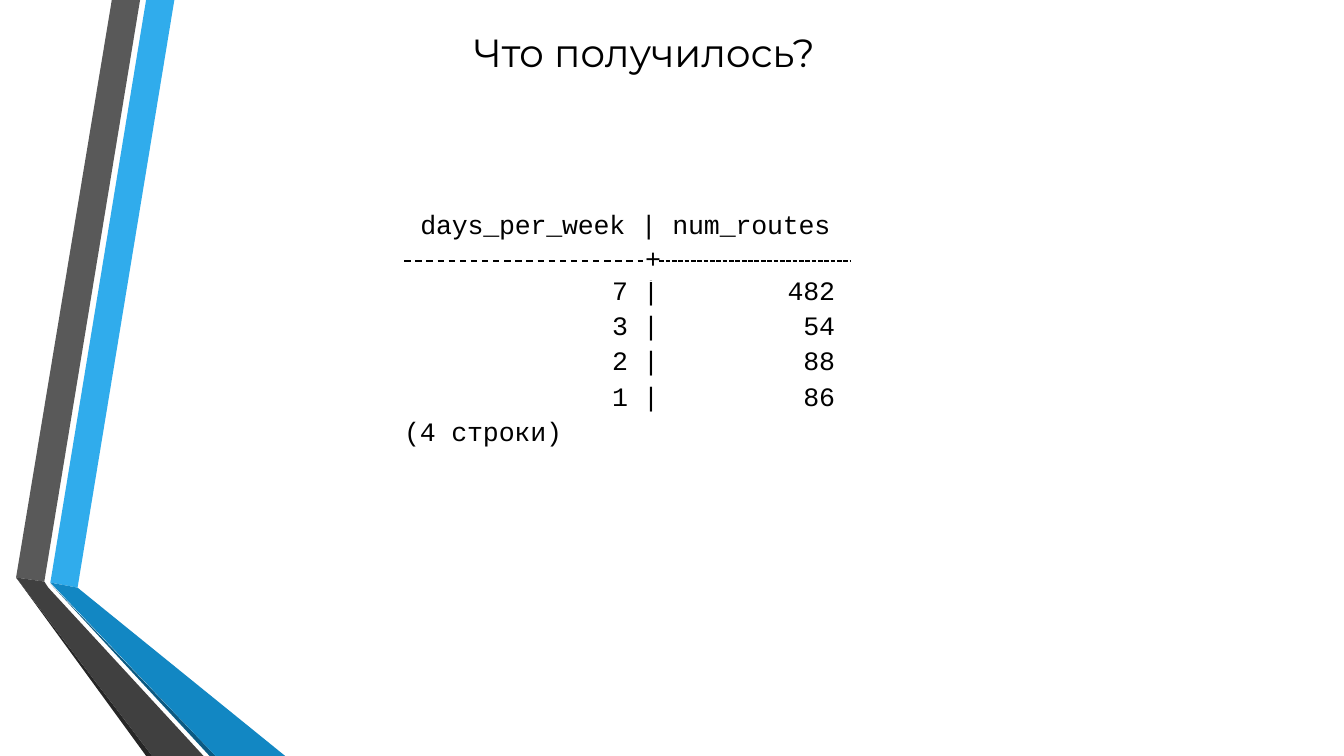
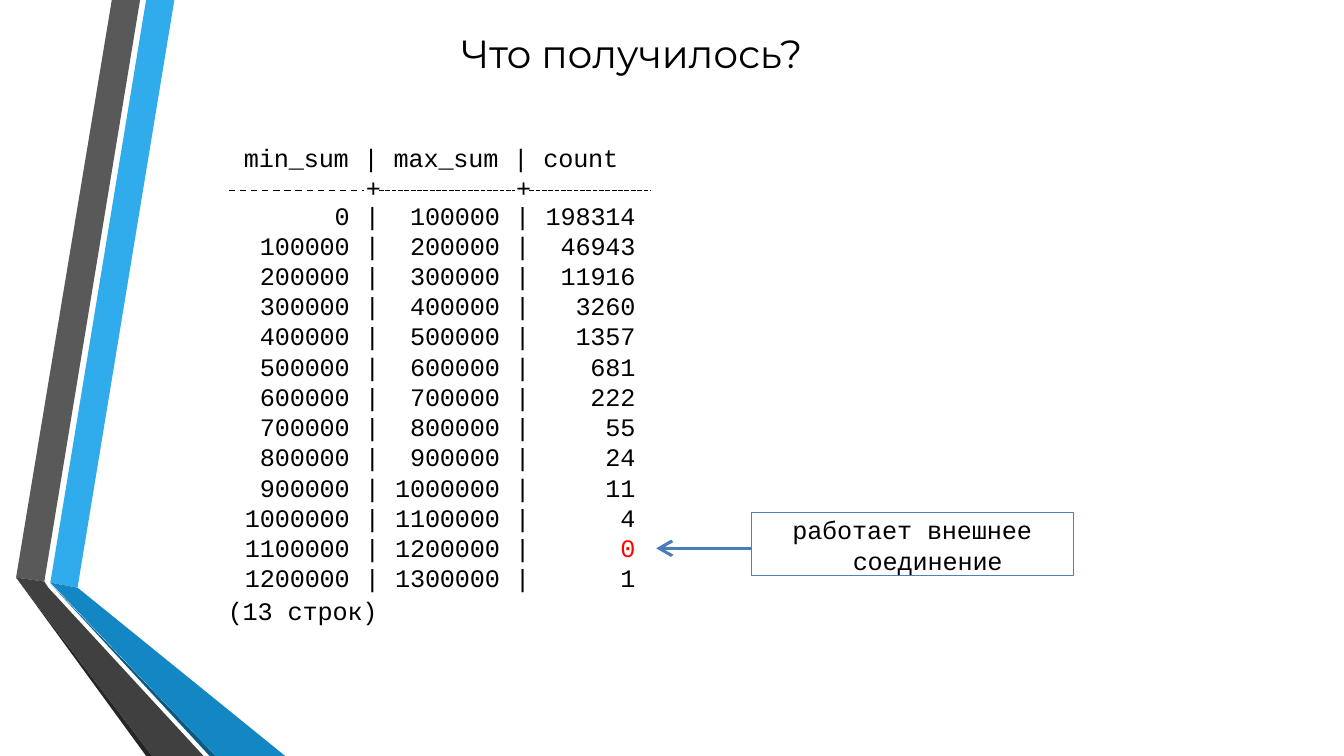
import dataclasses

import lxml.etree
import pptx
import pptx.dml.color
import pptx.enum.dml
import pptx.enum.shapes
import pptx.enum.text
import pptx.oxml.ns
import pptx.util

ALIGN = pptx.enum.text.PP_ALIGN
DASH = pptx.enum.dml.MSO_LINE.DASH
SHORT_DASH = pptx.enum.dml.MSO_LINE.SQUARE_DOT
COLORS = {
    "text": "000000", "highlight": "FF0000", "box": "4F81BC", "arrow": "497DBA",
    "light blue": "30ACEC", "blue": "1287C3", "dark blue": "0C5A82",
    "light gray": "595959", "gray": "404040", "dark gray": "262626",
}
MONOSPACE = "Courier New"
TITLE_FONT = "Montserrat"
TITLE = "Что получилось?"
COLUMNS, ROWS = 133.33, 75  # grid of tenths of an inch
TEXT_INDENT = 0.1
PIPE_INDENT = 0.8
NOTE_INDENT = 0.3
INNER_GAP, OUTER_GAP = 0.7, 0.25  # right of the numbers, before a pipe and at the end
STEP = 100_000
COUNTS = (198314, 46943, 11916, 3260, 1357, 681, 222, 55, 24, 11, 4, 0, 1)


@dataclasses.dataclass(frozen=True)
class Band:
    color: str
    points: tuple[tuple[float, float], ...]


@dataclasses.dataclass(frozen=True)
class Rule:
    start: float
    end: float
    dash: pptx.enum.dml.MSO_LINE = SHORT_DASH


@dataclasses.dataclass(frozen=True)
class Header:
    """Column names above a dashed rule that is broken by plus signs."""
    text: str
    box: tuple[float, float, float, float]
    inset: float
    indent: float
    before: tuple[float, float]
    size: float
    tabs: tuple[float, ...]
    rule_row: float
    rules: tuple[Rule, ...]


@dataclasses.dataclass(frozen=True)
class Grid:
    left: float
    top: float
    widths: tuple[float, ...]
    heights: tuple[float, ...]
    size: float
    first_line: float
    other_line: float


BANDS = (
    Band("light blue", ((5, 57.8), (7.7, 58.3), (17.3, 0), (14.5, 0))),
    Band("light gray", ((13.9, 0), (11.1, 0), (1.6, 57.3), (4.4, 57.7))),
    Band("dark gray", ((1.6, 57.3), (14.5, ROWS), (15.1, ROWS))),
    Band("dark blue", ((5, 57.9), (20.8, ROWS), (21.4, ROWS))),
    Band("blue", ((5, 57.8), (21.4, ROWS), (28.3, ROWS), (7.7, 58.3))),
    Band("gray", ((20.2, ROWS), (4.8, 58.3), (4.4, 57.7), (1.6, 57.3), (15.1, ROWS))),
)
ROUTES_HEADER = Header(
    "days_per_week | num_routes", (40, 20.2, 46, 7.1), inset=0.4, indent=1.7,
    before=(2.6, 1.7), size=19, tabs=(23.9,), rule_row=25.9,
    rules=(Rule(40.1, 63.8, DASH), Rule(65.4, 84.4)))
ROUTES_GRID = Grid(39.8, 27.9, (18.5, 4.7, 8.7, 11.4), (3.2, 3.5, 3.5, 3.5, 3.2),
                   size=19, first_line=19.6, other_line=21.4)
SUMS_HEADER = Header(
    "min_sum | max_sum | count", (22.6, 14, 43.5, 6.3), inset=0.1, indent=1.6,
    before=(1, 0), size=18, tabs=(13.6, 28.5), rule_row=18.9,
    rules=(Rule(22.7, 36.1, DASH), Rule(37.6, 51.1), Rule(52.5, 64.5)))
SUMS_GRID = Grid(23.8, 20.5, (11.6, 3, 11.9, 3, 10), (2.9, *[3] * 11, 2.9),
                 size=18, first_line=18.6, other_line=19.2)


def cells(count: float) -> pptx.util.Emu:
    return pptx.util.Inches(count / 10)


def rgb(name: str) -> pptx.dml.color.RGBColor:
    return pptx.dml.color.RGBColor.from_string(COLORS[name])


def write_text(frame, text: str, *, size: float, font: str = MONOSPACE,
               color: str = "text", align=ALIGN.LEFT, indent: float = TEXT_INDENT,
               right_indent: float = 0, hanging: float = 0, before: float = 0,
               line=None, tracking: float = -0.1, tabs: tuple[float, ...] = (),
               append: bool = False) -> None:
    """Writes one paragraph; indents and tab stops are in grid columns."""
    paragraph = frame.add_paragraph() if append else frame.paragraphs[0]
    paragraph.alignment = align
    paragraph.space_before = pptx.util.Pt(before)
    if line:
        paragraph.line_spacing = line
    properties = paragraph._p.get_or_add_pPr()
    # A written zero would reset the tab stops in LibreOffice.
    for name, length in (("marL", indent), ("marR", right_indent), ("indent", hanging)):
        if length:
            properties.set(name, str(cells(length)))
    if tabs:
        tab_list = lxml.etree.SubElement(properties, pptx.oxml.ns.qn("a:tabLst"))
        for position in tabs:
            lxml.etree.SubElement(tab_list, pptx.oxml.ns.qn("a:tab"),
                                  pos=str(cells(position)), algn="l")
    run = paragraph.add_run()
    run.text = text
    run.font.size = pptx.util.Pt(size)
    run.font.name = font
    run.font.color.rgb = rgb(color)
    run._r.get_or_add_rPr().set("spc", str(round(tracking * 100)))


def prepare_frame(frame, inset: float, anchor=pptx.enum.text.MSO_ANCHOR.TOP) -> None:
    frame.word_wrap = True
    frame.margin_left = frame.margin_right = frame.margin_bottom = 0
    frame.margin_top = cells(inset)
    frame.vertical_anchor = anchor


def add_text_box(slide, box: tuple[float, ...], inset: float = 0.1, **options):
    frame = slide.shapes.add_textbox(*map(cells, box)).text_frame
    prepare_frame(frame, inset, **options)
    return frame


def add_line(slide, start: float, end: float, row: float, color: str, width: float):
    connector = slide.shapes.add_connector(
        pptx.enum.shapes.MSO_CONNECTOR.STRAIGHT,
        cells(start), cells(row), cells(end), cells(row))
    connector.line.color.rgb = rgb(color)
    connector.line.width = pptx.util.Pt(width)
    lxml.etree.SubElement(connector._element.spPr, pptx.oxml.ns.qn("a:effectLst"))
    return connector


def add_base_slide(presentation, title_box: tuple[float, ...]):
    """Adds a slide with the folded bands and the title."""
    slide = presentation.slides.add_slide(presentation.slide_layouts[6])
    for band in BANDS:
        first, *others = [(cells(x), cells(y)) for x, y in band.points]
        builder = slide.shapes.build_freeform(*first)
        builder.add_line_segments(others, close=True)
        shape = builder.convert_to_shape()
        shape.shadow.inherit = False
        shape.fill.solid()
        shape.fill.fore_color.rgb = rgb(band.color)
        shape.line.fill.background()
    frame = add_text_box(slide, title_box, anchor=pptx.enum.text.MSO_ANCHOR.MIDDLE)
    write_text(frame, TITLE, size=28, font=TITLE_FONT, align=ALIGN.CENTER, before=0.9)
    return slide


def add_header(slide, header: Header) -> None:
    for rule in header.rules:
        connector = add_line(slide, rule.start, rule.end, header.rule_row, "text", 1.12)
        connector.line.dash_style = rule.dash
    frame = add_text_box(slide, header.box, header.inset)
    write_text(frame, header.text, size=header.size, indent=header.indent,
               before=header.before[0])
    write_text(frame, "\t+" * len(header.tabs), size=header.size,
               before=header.before[1], tabs=header.tabs, append=True)


def add_grid(slide, grid: Grid, rows: list[tuple[str, ...]],
             highlight: tuple[int, int] | None = None):
    """Draws query rows: pipes and notes go left, numbers go right."""
    table = slide.shapes.add_table(
        len(rows), len(grid.widths), cells(grid.left), cells(grid.top),
        cells(sum(grid.widths)), cells(sum(grid.heights))).table
    table.first_row = table.horz_banding = False
    for column, width in zip(table.columns, grid.widths):
        column.width = cells(width)
    for row_index, values in enumerate(rows):
        table.rows[row_index].height = cells(grid.heights[row_index])
        line = grid.other_line if row_index else grid.first_line
        for column_index, value in enumerate(values):
            cell = table.cell(row_index, column_index)
            cell.fill.background()
            cell.margin_left = cell.margin_right = 0
            cell.margin_top = cell.margin_bottom = 0
            if not value:
                continue
            if value.isdigit():
                is_last = column_index == len(values) - 1
                layout = {"align": ALIGN.RIGHT, "indent": 0,
                          "right_indent": OUTER_GAP if is_last else INNER_GAP}
            else:
                layout = {"indent": PIPE_INDENT if value == "|" else NOTE_INDENT}
            is_marked = (row_index, column_index) == highlight
            write_text(cell.text_frame, value, size=grid.size, line=pptx.util.Pt(line),
                       color="highlight" if is_marked else "text", **layout)
    return table


def add_callout(slide) -> None:
    left, top, width, height = 74.6, 50.8, 31.9, 6.3
    box = slide.shapes.add_shape(pptx.enum.shapes.MSO_SHAPE.RECTANGLE,
                                 *map(cells, (left, top, width, height)))
    box.shadow.inherit = False
    box.fill.background()
    box.line.color.rgb = rgb("box")
    box.line.width = pptx.util.Pt(0.75)
    prepare_frame(box.text_frame, 0.2)
    write_text(box.text_frame, "работает внешнее соединение", size=18, indent=10,
               hanging=-6, before=1.3, line=1.01)
    arrow = add_line(slide, left, 65.1, 54.4, "arrow", 2.25)
    lxml.etree.SubElement(arrow.line._get_or_add_ln(), pptx.oxml.ns.qn("a:tailEnd"),
                          type="arrow", w="lg", len="lg")


def add_routes_slide(presentation) -> None:
    slide = add_base_slide(presentation, (25.5, 2.6, 76.7, 4.9))
    add_header(slide, ROUTES_HEADER)
    routes = ((7, 482), (3, 54), (2, 88), (1, 86))
    rows = [("", str(days), "|", str(count)) for days, count in routes]
    table = add_grid(slide, ROUTES_GRID, [*rows, ("(4 строки)", "", "", "")])
    table.cell(0, 0).merge(table.cell(len(routes) - 1, 0))


def add_sums_slide(presentation) -> None:
    slide = add_base_slide(presentation, (24.5, 2.7, 76.2, 4.9))
    add_header(slide, SUMS_HEADER)
    rows = [(str(index * STEP), "|", str((index + 1) * STEP), "|", str(count))
            for index, count in enumerate(COUNTS)]
    add_grid(slide, SUMS_GRID, rows, highlight=(COUNTS.index(0), 4))
    write_text(add_text_box(slide, (22.5, 59, 16, 3.3)), "(13 строк)", size=18, before=1)
    add_callout(slide)


def main() -> None:
    presentation = pptx.Presentation()
    presentation.slide_width = cells(COLUMNS)
    presentation.slide_height = cells(ROWS)
    add_routes_slide(presentation)
    add_sums_slide(presentation)
    presentation.save("out.pptx")


if __name__ == "__main__":
    main()
